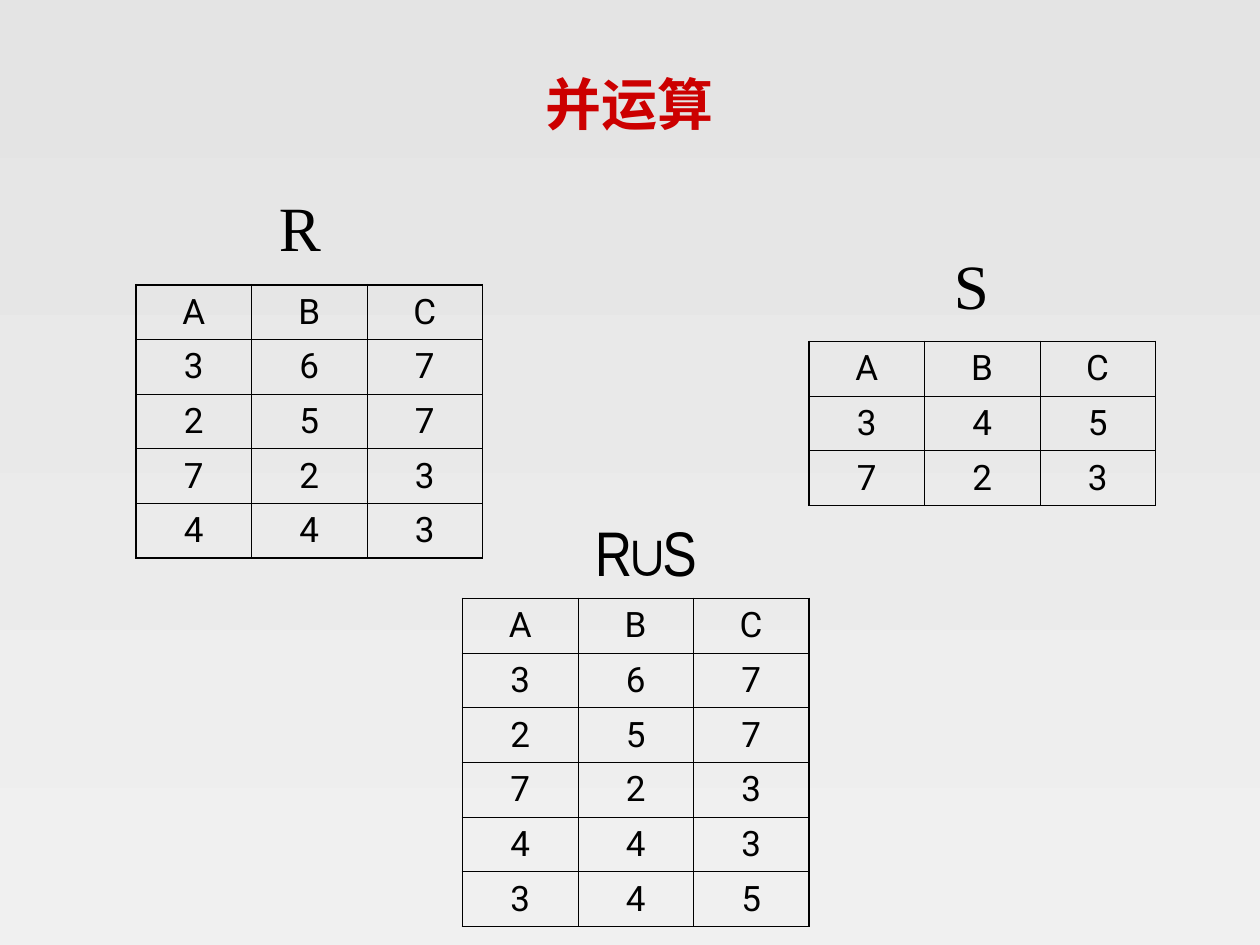
"""Build a slide that shows the union of relations R and S."""
import pptx
import pptx.dml.color
import pptx.enum.text
import pptx.oxml.ns
import pptx.util
from lxml import etree
from pptx.util import Inches

TITLE = "并运算"
HEADER = ("A", "B", "C")
R_ROWS = [(3, 6, 7), (2, 5, 7), (7, 2, 3), (4, 4, 3)]
S_ROWS = [(3, 4, 5), (7, 2, 3)]
UNION_ROWS = R_ROWS + [row for row in S_ROWS if row not in R_ROWS]
RELATIONS = [
    {"name": "R", "font": "Times New Roman", "label": (1.92, 1.45, 0.92),
     "table": (1.08, 2.26), "rows": R_ROWS},
    {"name": "S", "font": "Times New Roman", "label": (7.25, 1.91, 0.92),
     "table": (6.42, 2.71), "rows": S_ROWS},
    {"name": "R∪S", "font": "Arial Narrow", "label": (4.28, 4.03, 1.69),
     "table": (3.67, 4.75), "rows": UNION_ROWS},
]
TABLE_WIDTH, ROW_HEIGHT, LABEL_HEIGHT = 2.75, 0.43, 0.7
OUTER_LINE, INNER_LINE = 1.08, 0.45
BLACK, RED = "000000", "CC0000"


def color(value):
    return pptx.dml.color.RGBColor.from_string(value)


def write(frame, text, font, size, text_color, bold=False):
    frame.text = text
    paragraph = frame.paragraphs[0]
    paragraph.alignment = pptx.enum.text.PP_ALIGN.CENTER
    paragraph.font.name = font
    paragraph.font.size = pptx.util.Pt(size)
    paragraph.font.bold = bold
    paragraph.font.color.rgb = color(text_color)


def add_border(cell, side, width):
    qn = pptx.oxml.ns.qn
    properties = cell._tc.get_or_add_tcPr()
    line = etree.SubElement(properties, qn(f"a:ln{side}"), w=str(int(pptx.util.Pt(width))))
    fill = etree.SubElement(line, qn("a:solidFill"))
    etree.SubElement(fill, qn("a:srgbClr"), val=BLACK)


def add_relation(slide, relation):
    left, top, width = relation["label"]
    label = slide.shapes.add_textbox(Inches(left), Inches(top), Inches(width), Inches(LABEL_HEIGHT))
    label.text_frame.word_wrap = True
    write(label.text_frame, relation["name"], relation["font"], 36, BLACK)

    rows = [HEADER] + relation["rows"]
    left, top = relation["table"]
    table = slide.shapes.add_table(len(rows), len(HEADER), Inches(left), Inches(top),
                                   Inches(TABLE_WIDTH), Inches(ROW_HEIGHT * len(rows))).table
    table.first_row = table.horz_banding = False
    last_row, last_column = len(rows) - 1, len(HEADER) - 1
    for row_index, row in enumerate(rows):
        for column_index, value in enumerate(row):
            cell = table.cell(row_index, column_index)
            write(cell.text_frame, str(value), "Roboto", 20, BLACK)
            cell.vertical_anchor = pptx.enum.text.MSO_ANCHOR.MIDDLE
            edges = {"L": column_index == 0, "R": column_index == last_column,
                     "T": row_index == 0, "B": row_index == last_row}
            for side, is_outer in edges.items():
                add_border(cell, side, OUTER_LINE if is_outer else INNER_LINE)
            cell.fill.background()


def main():
    presentation = pptx.Presentation()
    presentation.slide_width, presentation.slide_height = Inches(10), Inches(7.5)
    slide = presentation.slides.add_slide(presentation.slide_layouts[5])

    background = slide.background.fill
    background.gradient()
    background.gradient_angle = 270
    for stop, position, value in zip(background.gradient_stops, (0, 1), ("E4E4E4", "F0F0F0")):
        stop.position = position
        stop.color.rgb = color(value)

    title = slide.shapes.title
    title.left, title.top = Inches(0.75), Inches(0.48)
    title.width, title.height = Inches(8.5), Inches(0.67)
    title.text_frame.vertical_anchor = pptx.enum.text.MSO_ANCHOR.MIDDLE
    write(title.text_frame, TITLE, "Times New Roman", 32, RED, bold=True)

    for relation in RELATIONS:
        add_relation(slide, relation)
    presentation.save("out.pptx")


if __name__ == "__main__":
    main()
